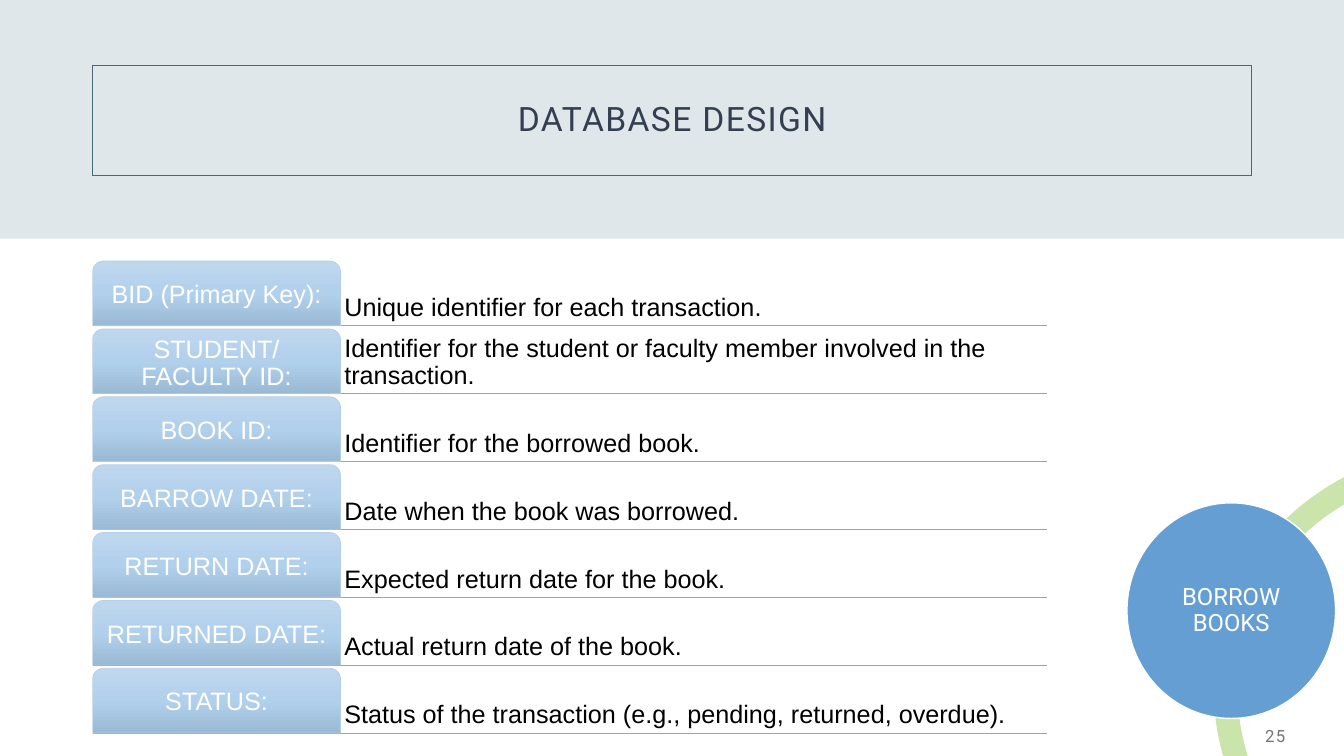
from dataclasses import dataclass

from lxml.etree import SubElement
from pptx import Presentation
from pptx.dml.color import RGBColor
from pptx.enum.shapes import MSO_CONNECTOR as Connector, MSO_SHAPE as Shape
from pptx.enum.text import MSO_ANCHOR as Anchor, MSO_AUTO_SIZE as AutoSize, PP_ALIGN as Align
from pptx.oxml import parse_xml
from pptx.oxml.ns import nsdecls, qn
from pptx.util import Pt

TITLE = "DATABASE DESIGN"
ENTITY = "BORROW BOOKS"
PAGE_NUMBER = "25"
FIELDS = [
    ("BID (Primary Key):", "Unique identifier for each transaction."),
    ("STUDENT/FACULTY ID:", "Identifier for the student or faculty member involved in the transaction."),
    ("BOOK ID:", "Identifier for the borrowed book."),
    ("BARROW DATE:", "Date when the book was borrowed."),
    ("RETURN DATE:", "Expected return date for the book."),
    ("RETURNED DATE:", "Actual return date of the book."),
    ("STATUS:", "Status of the transaction (e.g., pending, returned, overdue)."),
]
RING_ARCS = [
    {"left": 861.8, "top": 319.7, "start": 205, "end": 255},
    {"left": 866.9, "top": 306.7, "start": 135, "end": 175},
]


@dataclass(frozen=True)
class Theme:
    heading_font: str = "Roboto"
    body_font: str = "Arial"
    title_size: float = 24
    body_size: float = 18
    entity_size: float = 17
    number_size: float = 12
    band: str = "D7E2E7"
    frame: str = "476977"
    title: str = "333F50"
    number: str = "767171"
    text: str = "000000"
    white: str = "FFFFFF"
    ring: str = "CAE4AC"
    entity: str = "649ED2"
    rule: str = "90A7BB"
    tab_line: str = "B4D0E9"
    tab_stops: tuple = ((0, "BFD7ED"), (50, "B1D0EC"), (100, "9AB9D5"))


THEME = Theme()
LEFT, TAB_WIDTH, TEXT_WIDTH = 66.2, 177.1, 504.7
FIRST_TOP, PITCH, TAB_HEIGHT = 186.5, 48.48, 46.2
RING_SIZE = 367.9


def color(value):
    return RGBColor.from_string(value)


def write(box, text, font, size, ink, align, anchor, insets, tracking=None, spacing=0.9):
    frame = box.text_frame
    frame.word_wrap = True
    frame.auto_size = AutoSize.NONE
    frame.vertical_anchor = anchor
    frame.margin_left, frame.margin_top, frame.margin_right, frame.margin_bottom = map(Pt, insets)
    para = frame.paragraphs[0]
    para.alignment = align
    para.line_spacing = spacing
    span = para.add_run()
    span.text = text
    span.font.name = font
    span.font.size = Pt(size)
    span.font.color.rgb = color(ink)
    if tracking:
        span.font._element.set("spc", str(tracking))


def add_shape(page, kind, left, top, width, height, fill=None, line=None, weight=0.5):
    shape = page.shapes.add_shape(kind, Pt(left), Pt(top), Pt(width), Pt(height))
    shape.shadow.inherit = False
    if fill:
        shape.fill.solid()
        shape.fill.fore_color.rgb = color(fill)
    if line:
        shape.line.color.rgb = color(line)
        shape.line.width = Pt(weight)
    else:
        shape.line.fill.background()
    return shape


def add_text(page, left, top, width, height, *style, **extra):
    box = page.shapes.add_textbox(Pt(left), Pt(top), Pt(width), Pt(height))
    write(box, *style, **extra)


def shade(shape, stops):
    marks = "".join(
        f'<a:gs pos="{place * 1000}"><a:srgbClr val="{value}"/></a:gs>' for place, value in stops
    )
    gradient = parse_xml(
        f'<a:gradFill {nsdecls("a")} rotWithShape="1"><a:gsLst>{marks}</a:gsLst>'
        '<a:lin ang="5400000" scaled="0"/></a:gradFill>'
    )
    shape._element.spPr.find(qn("a:prstGeom")).addnext(gradient)


def add_header(page):
    band = add_shape(page, Shape.RECTANGLE, 0, 0, 960, 170.6, THEME.band)
    tint = band._element.spPr.find(qn("a:solidFill")).find(qn("a:srgbClr"))
    SubElement(tint, qn("a:alpha")).set("val", "80000")
    title = page.shapes.title
    title._element.addprevious(band._element)
    title.left, title.top, title.width, title.height = Pt(66.2), Pt(46.8), Pt(828), Pt(78.5)
    title.line.color.rgb = color(THEME.frame)
    title.line.width = Pt(0.75)
    write(title, TITLE, THEME.heading_font, THEME.title_size, THEME.title,
          Align.CENTER, Anchor.MIDDLE, (7.2, 3.6, 7.2, 3.6), tracking=100)


def add_entity(page):
    for arc in RING_ARCS:
        ring = add_shape(page, Shape.BLOCK_ARC, arc["left"], arc["top"], RING_SIZE, RING_SIZE, THEME.ring)
        ring.adjustments[0] = arc["start"] * 0.6
        ring.adjustments[1] = arc["end"] * 0.6
        ring.adjustments[2] = 0.046
    circle = add_shape(page, Shape.OVAL, 805, 359.2, 149, 154, THEME.entity, THEME.white, 1)
    write(circle, ENTITY, THEME.heading_font, THEME.entity_size, THEME.white,
          Align.CENTER, Anchor.MIDDLE, (1.4,) * 4)


def add_field(page, top, label, meaning):
    bottom = top + TAB_HEIGHT
    text_left = LEFT + TAB_WIDTH
    rule = page.shapes.add_connector(
        Connector.STRAIGHT, Pt(LEFT), Pt(bottom), Pt(text_left + TEXT_WIDTH), Pt(bottom))
    rule.line.color.rgb = color(THEME.rule)
    rule.line.width = Pt(0.5)
    SubElement(rule._element.spPr, qn("a:effectLst"))
    add_text(page, text_left, top, TEXT_WIDTH, TAB_HEIGHT, meaning, THEME.body_font,
             THEME.body_size, THEME.text, Align.LEFT, Anchor.BOTTOM, (2.7,) * 4)
    tab = add_shape(page, Shape.ROUND_2_SAME_RECTANGLE, LEFT, top, TAB_WIDTH, TAB_HEIGHT,
                    line=THEME.tab_line)
    shade(tab, THEME.tab_stops)
    write(tab, label, THEME.body_font, THEME.body_size, THEME.white,
          Align.CENTER, Anchor.MIDDLE, (2.7, 3.6, 2.7, 2.7))


def main():
    deck = Presentation()
    deck.slide_width, deck.slide_height = Pt(960), Pt(540)
    page = deck.slides.add_slide(deck.slide_layouts[5])
    add_header(page)
    add_text(page, 709.2, 511.2, 216, 28.8, PAGE_NUMBER, THEME.heading_font, THEME.number_size,
             THEME.number, Align.RIGHT, Anchor.MIDDLE, (7.2, 3.6, 7.2, 3.6), tracking=100, spacing=1.0)
    add_entity(page)
    for row, (label, meaning) in enumerate(FIELDS):
        add_field(page, FIRST_TOP + row * PITCH, label, meaning)
    deck.save("out.pptx")


if __name__ == "__main__":
    main()
